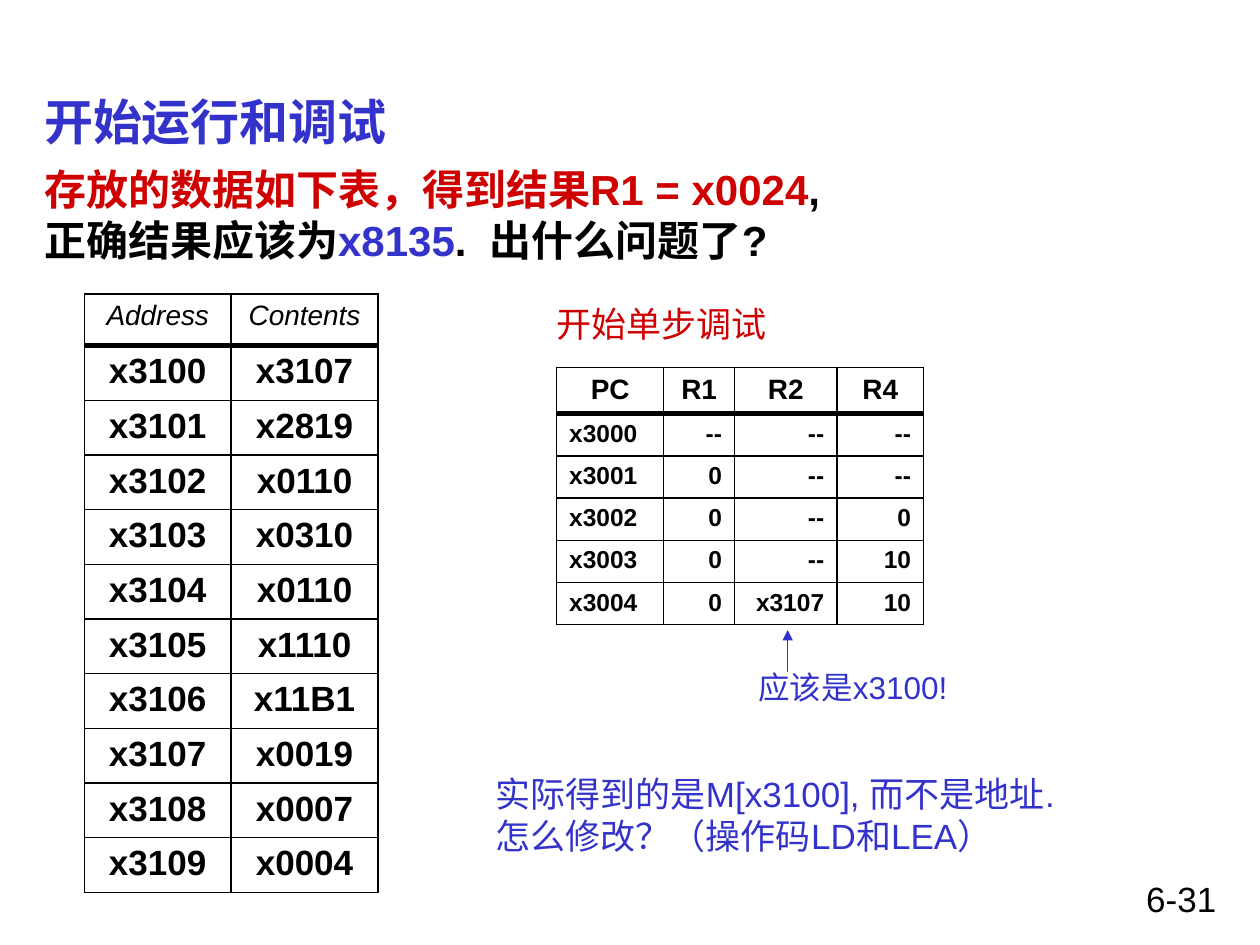
from lxml import etree
from pptx import Presentation
from pptx.dml.color import RGBColor
from pptx.enum.shapes import MSO_CONNECTOR
from pptx.enum.text import MSO_ANCHOR, PP_ALIGN
from pptx.oxml.ns import qn
from pptx.util import Cm, Pt

LEFT, CENTER, RIGHT = PP_ALIGN.LEFT, PP_ALIGN.CENTER, PP_ALIGN.RIGHT
TOP, MIDDLE = MSO_ANCHOR.TOP, MSO_ANCHOR.MIDDLE
STRAIGHT = MSO_CONNECTOR.STRAIGHT
FONT = "Arial"
COLORS = {"black": "000000", "blue": "3333CC", "red": "CE0000"}

MEMORY = [
    ["Address", "Contents"],
    ["x3100", "x3107"],
    ["x3101", "x2819"],
    ["x3102", "x0110"],
    ["x3103", "x0310"],
    ["x3104", "x0110"],
    ["x3105", "x1110"],
    ["x3106", "x11B1"],
    ["x3107", "x0019"],
    ["x3108", "x0007"],
    ["x3109", "x0004"],
]
REGISTERS = [
    ["PC", "R1", "R2", "R4"],
    ["x3000", "--", "--", "--"],
    ["x3001", "0", "--", "--"],
    ["x3002", "0", "--", "0"],
    ["x3003", "0", "--", "10"],
    ["x3004", "0", "x3107", "10"],
]


def add_run(paragraph, text, size, color="black", bold=False, italic=False):
    """Append one formatted run to a paragraph."""
    run = paragraph.add_run()
    run.text = text
    font = run.font
    font.name, font.size, font.bold, font.italic = FONT, Pt(size), bold, italic
    font.color.rgb = RGBColor.from_string(COLORS[color])


def add_text(slide, box, lines, size, bold=False, align=LEFT, anchor=TOP):
    """Add a wrapping text box whose lines are lists of (text, color) runs."""
    frame = slide.shapes.add_textbox(*map(Cm, box)).text_frame
    frame.word_wrap = True
    frame.vertical_anchor = anchor
    for index, runs in enumerate(lines):
        paragraph = frame.add_paragraph() if index else frame.paragraphs[0]
        paragraph.alignment = align
        for text, color in runs:
            if text == "\n":
                paragraph.add_line_break()
            else:
                add_run(paragraph, text, size, color, bold)


def set_borders(cell, top, bottom):
    """Draw black borders on a cell, with the given top and bottom widths."""
    properties = cell._tc.get_or_add_tcPr()
    for side, width in (("L", 1), ("R", 1), ("T", top), ("B", bottom)):
        line = etree.SubElement(properties, qn(f"a:ln{side}"), w=str(Pt(width)))
        fill = etree.SubElement(line, qn("a:solidFill"))
        etree.SubElement(fill, qn("a:srgbClr"), val=COLORS["black"])


def add_grid(slide, left, top, widths, heights, rows, header, body, aligns):
    """Add a ruled table with a heavy line below its header row."""
    frame = slide.shapes.add_table(
        len(rows), len(widths), Cm(left), Cm(top), Cm(sum(widths)), Cm(sum(heights)))
    table = frame.table
    table.first_row = table.horz_banding = False
    for column, width in zip(table.columns, widths):
        column.width = Cm(width)
    for row_index, values in enumerate(rows):
        table.rows[row_index].height = Cm(heights[row_index])
        for column_index, value in enumerate(values):
            cell = table.cell(row_index, column_index)
            set_borders(cell, 3 if row_index == 1 else 1, 3 if row_index == 0 else 1)
            cell.fill.background()
            paragraph = cell.text_frame.paragraphs[0]
            paragraph.alignment = aligns[column_index] if row_index else CENTER
            add_run(paragraph, value, **(body if row_index else header))


def add_arrow(slide, start, end, color):
    """Add a thin straight arrow pointing at its end."""
    arrow = slide.shapes.add_connector(STRAIGHT, *map(Cm, start + end))
    arrow.line.color.rgb = RGBColor.from_string(COLORS[color])
    arrow.line.width = Pt(0.75)
    etree.SubElement(arrow.line._get_or_add_ln(), qn("a:tailEnd"), type="triangle")
    etree.SubElement(arrow._element.spPr, qn("a:effectLst"))


def main():
    """Build and save the debugging slide."""
    presentation = Presentation()
    presentation.slide_width, presentation.slide_height = Cm(25.4), Cm(19.05)
    slide = presentation.slides.add_slide(presentation.slide_layouts[6])

    add_text(slide, (18.21, 17.57, 6.56, 1.06), [[("6-31", "black")]], 20, align=RIGHT)
    add_text(slide, (0.64, 1.7, 24.13, 1.48), [[("开始运行和调试", "blue")]], 28,
             bold=True, anchor=MIDDLE)
    problem = [("存放的数据如下表，得到结果R1 = x0024", "red"), (",", "black"),
               ("\n", None), ("正确结果应该为", "black"), ("x8135", "blue"),
               (".  出什么问题了?", "black")]
    add_text(slide, (0.64, 3.18, 24.13, 13.76), [problem], 24, bold=True)

    add_grid(slide, 1.7, 5.93, [2.96] * 2, [1.04] * len(MEMORY), MEMORY,
             {"size": 16, "italic": True}, {"size": 20, "bold": True}, [CENTER] * 2)
    add_grid(slide, 11.22, 7.41, [2.16, 1.43, 2.06, 1.75], [0.93] + [0.85] * 5,
             REGISTERS, {"size": 16, "bold": True}, {"size": 14, "bold": True},
             [LEFT] + [RIGHT] * 3)

    add_text(slide, (10.97, 5.97, 4.78, 1.12), [[("开始单步调试", "red")]], 20)
    add_text(slide, (15.04, 13.34, 4.37, 1.02), [[("应该是x3100!", "blue")]], 18)
    add_arrow(slide, (15.88, 13.54), (15.88, 12.7), "blue")
    add_text(slide, (9.74, 15.45, 11.86, 1.96),
             [[("实际得到的是M[x3100], 而不是地址.", "blue")],
              [("怎么修改？（操作码LD和LEA）", "blue")]], 20)
    presentation.save("out.pptx")


if __name__ == "__main__":
    main()
